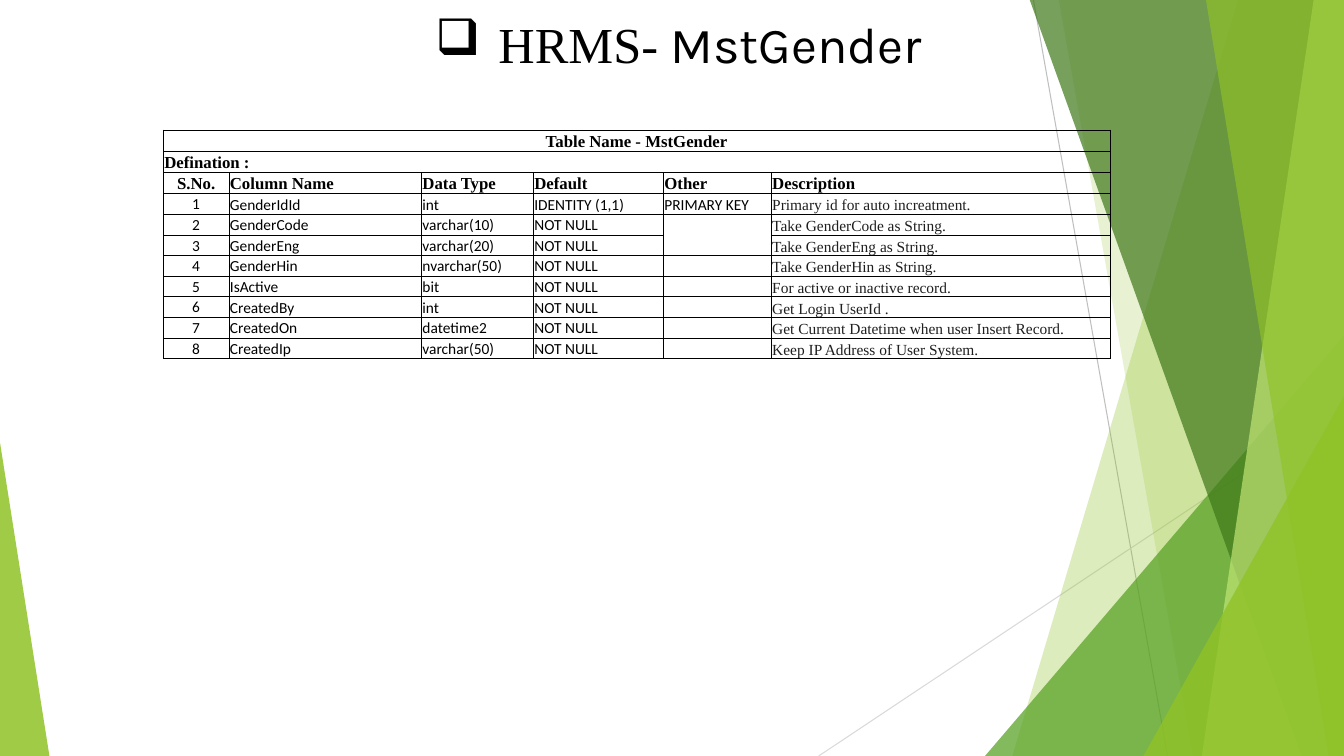
from lxml import etree
from pptx import Presentation
from pptx.dml.color import RGBColor
from pptx.enum.shapes import MSO_CONNECTOR, MSO_SHAPE
from pptx.enum.text import MSO_ANCHOR, MSO_AUTO_SIZE, PP_ALIGN
from pptx.oxml.ns import qn
from pptx.util import Inches, Pt

STRAIGHT = MSO_CONNECTOR.STRAIGHT
TRIANGLE = MSO_SHAPE.ISOSCELES_TRIANGLE
MIDDLE, BOTTOM = MSO_ANCHOR.MIDDLE, MSO_ANCHOR.BOTTOM
LEFT, CENTER = PP_ALIGN.LEFT, PP_ALIGN.CENTER
GROW = MSO_AUTO_SIZE.SHAPE_TO_FIT_TEXT

WIDTH, HEIGHT = 13.33, 7.5
COLORS = {
    "black": "000000", "ink": "1F1F1F", "lime": "90C226", "green": "54A021",
    "forest": "3F7819", "pale": "C0E474", "gray": "BFBFBF", "silver": "D9D9D9",
}
SERIF, SANS, DISPLAY = "Times New Roman", "Calibri", "Karla"
HEADING = {"name": SERIF, "size": Pt(12), "bold": True, "color": "black"}
BODY = {"name": SANS, "size": Pt(11), "bold": False, "color": "black"}
NOTE = {**BODY, "name": SERIF, "color": "ink"}

COLUMN_WIDTHS = [0.65, 1.91, 1.11, 1.29, 1.07, 3.36]
TABLE_HEIGHT, HEADING_HEIGHT, HEADING_ROWS = 2.27, 0.21, 3
FIELDS = [
    ("GenderIdId", "int", "IDENTITY (1,1)", "PRIMARY KEY", "Primary id for auto increatment."),
    ("GenderCode", "varchar(10)", "NOT NULL", "", "Take GenderCode as String."),
    ("GenderEng", "varchar(20)", "NOT NULL", "", "Take GenderEng as String."),
    ("GenderHin", "nvarchar(50)", "NOT NULL", "", "Take GenderHin as String."),
    ("IsActive", "bit", "NOT NULL", "", "For active or inactive record."),
    ("CreatedBy", "int", "NOT NULL", "", "Get Login UserId ."),
    ("CreatedOn", "datetime2", "NOT NULL", "", "Get Current Datetime when user Insert Record."),
    ("CreatedIp", "varchar(50)", "NOT NULL", "", "Keep IP Address of User System."),
]
ROWS = [
    ("Table Name - MstGender", "", "", "", "", ""),
    ("Defination :", "", "", "", "", ""),
    ("S.No.", "Column Name", "Data Type", "Default", "Other", "Description"),
    *((str(number), *field) for number, field in enumerate(FIELDS, 1)),
]
# The "Other" cells of GenderCode and GenderEng share no line.
OPEN_SIDES = {(4, 4): "B", (5, 4): "T"}


class SlideBuilder:
    def __init__(self, slide, colors):
        self.shapes = slide.shapes
        self.colors = colors

    def rgb(self, color):
        return RGBColor.from_string(self.colors[color])

    def paint(self, shape, color, opacity):
        shape.shadow.inherit = False
        shape.line.fill.background()
        shape.fill.solid()
        shape.fill.fore_color.rgb = self.rgb(color)
        tint = shape.fill._xPr.find(qn("a:solidFill"))[0]
        etree.SubElement(tint, qn("a:alpha"), val=str(opacity * 1000))

    def line(self, start, end, color):
        points = [Inches(value) for value in (*start, *end)]
        connector = self.shapes.add_connector(STRAIGHT, *points)
        connector.line.color.rgb = self.rgb(color)
        connector.line.width = Pt(0.75)
        etree.SubElement(connector._element.spPr, qn("a:effectLst"))

    def panel(self, top_x, bottom_x, color, opacity):
        """Fill from a slanted left edge to the slide's right edge."""
        top = -0.01
        outline = self.shapes.build_freeform(Inches(top_x), Inches(top))
        corners = [(WIDTH, top), (WIDTH, HEIGHT), (bottom_x, HEIGHT)]
        outline.add_line_segments([(Inches(x), Inches(y)) for x, y in corners])
        self.paint(outline.convert_to_shape(), color, opacity)

    def triangle(self, left, top, right, apex, color, opacity):
        """Stand a triangle on the slide's bottom edge; apex runs from 0 to 1."""
        area = (left, top, right - left, HEIGHT - top)
        shape = self.shapes.add_shape(TRIANGLE, *map(Inches, area))
        shape.adjustments[0] = apex
        self.paint(shape, color, opacity)

    def span(self, para, text, style):
        span = para.add_run()
        span.text = text
        for name, value in style.items():
            if name == "color":
                span.font.color.rgb = self.rgb(value)
            else:
                setattr(span.font, name, value)

    def title(self, area, bullet, parts):
        box = self.shapes.add_textbox(*map(Inches, area))
        frame = box.text_frame
        frame.word_wrap = True
        frame.auto_size = GROW
        para = frame.paragraphs[0]
        para.alignment = CENTER
        para.level = 4
        properties = para._p.get_or_add_pPr()
        properties.set("marL", str(Inches(2.5)))
        properties.set("indent", str(Inches(-0.5)))
        etree.SubElement(properties, qn("a:buChar"), char=bullet)
        for text, font in parts:
            self.span(para, text, {"name": font, "size": Pt(36), "color": "black"})

    def borders(self, cell, open_side):
        properties = cell._tc.get_or_add_tcPr()
        for side in "LRTB":
            edge = etree.SubElement(properties, qn(f"a:ln{side}"), w=str(Pt(0.5)))
            if side == open_side:
                etree.SubElement(edge, qn("a:noFill"))
            else:
                fill = etree.SubElement(edge, qn("a:solidFill"))
                etree.SubElement(fill, qn("a:srgbClr"), val=self.colors["black"])

    def cell(self, cell, text, style, alignment, anchor, open_side):
        self.borders(cell, open_side)
        cell.fill.background()
        margin = Inches(0.01)
        layout = {"margin_left": margin, "margin_right": margin, "margin_top": margin,
                  "margin_bottom": 0, "vertical_anchor": anchor}
        for name, value in layout.items():
            setattr(cell, name, value)
        para = cell.text_frame.paragraphs[0]
        para.alignment = alignment
        if text:
            self.span(para, text, style)
        else:
            etree.SubElement(para._p, qn("a:endParaRPr"), sz="1100")

    def table(self, left, top, rows):
        area = (left, top, sum(COLUMN_WIDTHS), TABLE_HEIGHT)
        frame = self.shapes.add_table(len(rows), len(COLUMN_WIDTHS), *map(Inches, area))
        table = frame.table
        table.first_row = table.horz_banding = False
        for column, width in zip(table.columns, COLUMN_WIDTHS):
            column.width = Inches(width)
        body_height = (TABLE_HEIGHT - HEADING_ROWS * HEADING_HEIGHT) / len(FIELDS)
        last = len(COLUMN_WIDTHS) - 1
        for r, texts in enumerate(rows):
            heading = r < HEADING_ROWS
            table.rows[r].height = Inches(HEADING_HEIGHT if heading else body_height)
            for c, text in enumerate(texts):
                style = HEADING if heading else NOTE if c == last else BODY
                alignment = CENTER if c == 0 and r != 1 else LEFT
                anchor = MIDDLE if c == 0 and r > 1 else BOTTOM
                self.cell(table.cell(r, c), text, style, alignment, anchor,
                          OPEN_SIDES.get((r, c)))
        for r in range(2):
            table.cell(r, 0).merge(table.cell(r, last))


def main():
    deck = Presentation()
    deck.slide_width, deck.slide_height = Inches(WIDTH), Inches(HEIGHT)
    page = SlideBuilder(deck.slides.add_slide(deck.slide_layouts[6]), COLORS)

    page.line((10.25, 0), (11.58, HEIGHT), "gray")
    page.line((WIDTH, 4.03), (8.12, HEIGHT), "silver")
    page.panel(12.28, 10.04, "lime", 30)
    page.panel(10.5, 11.83, "lime", 20)
    page.triangle(9.77, 3.33, WIDTH, 1, "green", 72)
    page.panel(10.21, 12.91, "forest", 70)
    page.panel(13.03, 11.92, "pale", 70)
    page.panel(11.96, 13.18, "lime", 65)
    page.triangle(11.34, 3.93, WIDTH, 1, "lime", 80)
    page.triangle(0, 4.39, 0.49, 0, "lime", 85)

    page.title((1.62, 0.08, 8.22, 0.71), "❑", [(" HRMS- ", SERIF), ("MstGender", DISPLAY)])
    page.table(1.62, 1.29, ROWS)
    deck.save("out.pptx")


if __name__ == "__main__":
    main()
